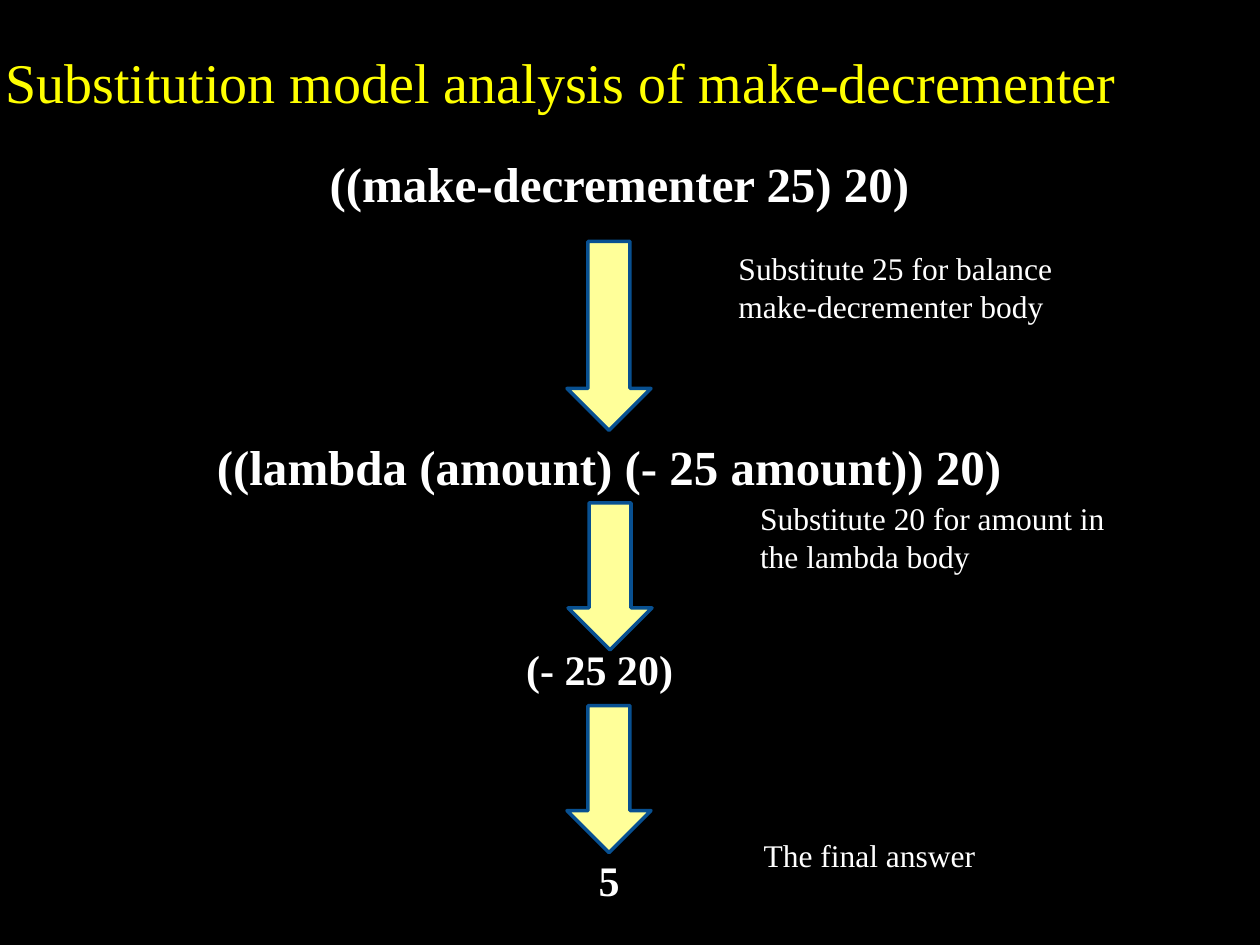
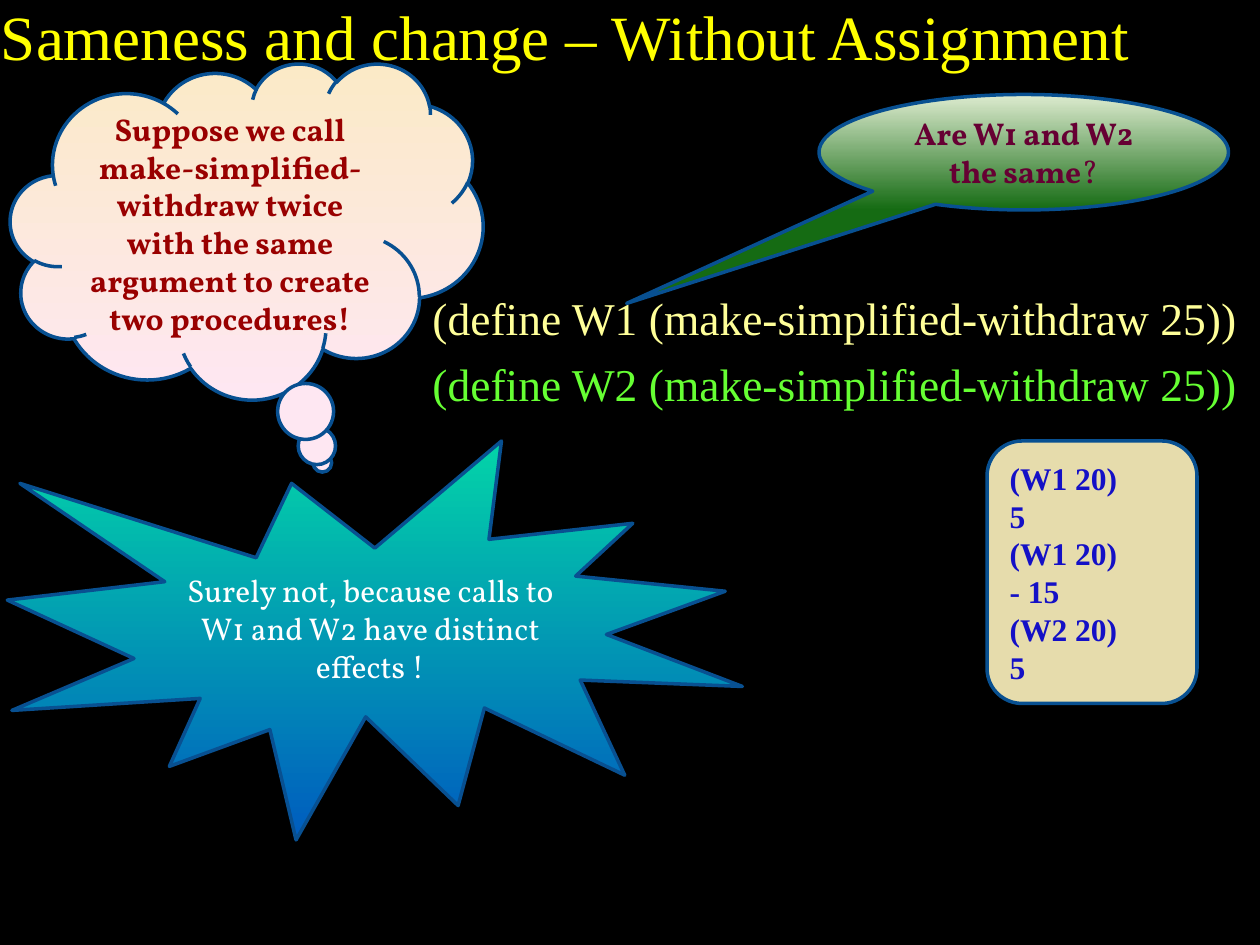
"""Build two lecture slides on substitution and sameness of procedures."""
from dataclasses import dataclass

from pptx import Presentation
from pptx.dml.color import RGBColor as Color
from pptx.enum.shapes import MSO_SHAPE as Preset
from pptx.enum.text import MSO_ANCHOR as Anchor, PP_ALIGN as Align
from pptx.util import Inches, Pt


@dataclass(frozen=True)
class Theme:
    background: str = "000000"
    title: str = "FFFF00"
    text: str = "FFFFFF"
    outline: str = "085091"
    pale_yellow: str = "FFFF99"
    green: str = "66FF33"
    cloud: tuple = ("FBEAC7", "FEE7F2")
    question: tuple = ("DDEBCF", "156B13")
    burst: tuple = ("03D4A8", "005CBF")
    results: str = "E6DCAC"
    cloud_text: str = "990000"
    question_text: str = "660033"
    results_text: str = "1410C6"
    serif: str = "Times New Roman"
    display: str = "Vollkorn"
    body: int = 18
    value: int = 24
    define: int = 26
    expression: int = 28
    long_title: int = 32
    short_title: int = 36
    outline_width: int = 2


theme = Theme()
presentation = Presentation()
presentation.slide_width, presentation.slide_height = Inches(10), Inches(7.5)
COLUMN = presentation.slide_width / 120
ROW = presentation.slide_height / 90


def write(shape, lines, size=theme.body, color=theme.text, name=theme.serif,
          bold=False, align=Align.LEFT, space_before=0, **frame_format):
    """Fill a shape with lines, each a list of (text, bold) runs or a string."""
    frame = shape.text_frame
    for key, setting in frame_format.items():
        setattr(frame, key, setting)
    for index, line in enumerate(lines):
        paragraph = frame.add_paragraph() if index else frame.paragraphs[0]
        paragraph.alignment = align
        if index:
            paragraph.space_before = Pt(space_before)
        for text, run_bold in [(line, bold)] if isinstance(line, str) else line:
            run = paragraph.add_run()
            run.text = text
            run.font.color.rgb = Color.from_string(color)
            font_format = {"size": Pt(size), "name": name, "bold": run_bold}
            for key, setting in font_format.items():
                setattr(run.font, key, setting)
    return frame


def add_box(slide, grid, preset=None, fill=None):
    """Add a text box or an outlined preset shape at columns and rows."""
    left, top, width, height = grid
    place = [int(length) for length in
             (left * COLUMN, top * ROW, width * COLUMN, height * ROW)]
    if preset is None:
        return slide.shapes.add_textbox(*place)
    shape = slide.shapes.add_shape(preset, *place)
    shape.shadow.inherit = False
    shape.line.color.rgb = Color.from_string(theme.outline)
    shape.line.width = Pt(theme.outline_width)
    if isinstance(fill, tuple):
        shape.fill.gradient()
        shape.fill.gradient_angle = 270
        for stop, position, color in zip(shape.fill.gradient_stops, (0, 1), fill):
            stop.position = position
            stop.color.rgb = Color.from_string(color)
    else:
        shape.fill.solid()
        shape.fill.fore_color.rgb = Color.from_string(fill)
    return shape


titles = [
    ("Substitution model analysis of make-decrementer", (0.5, 0.4, 118.5, 10.5),
     theme.long_title),
    ("Sameness and change – Without Assignment", (0.1, 0.2, 119, 6.8),
     theme.short_title),
]
slides = []
for title, grid, size in titles:
    slide = presentation.slides.add_slide(presentation.slide_layouts[6])
    slide.background.fill.solid()
    slide.background.fill.fore_color.rgb = Color.from_string(theme.background)
    write(add_box(slide, grid), [title], size, theme.title, word_wrap=True,
          vertical_anchor=Anchor.BOTTOM, margin_left=0, margin_right=0,
          margin_top=0, margin_bottom=0)
    slides.append(slide)
substitution, sameness = slides

for left, top, height in [(54, 23, 18), (54.1, 47.9, 14), (54, 67.2, 14)]:
    add_box(substitution, (left, top, 8, height), Preset.DOWN_ARROW, theme.pale_yellow)

notes = [
    (["Substitute 25 for balance", "make-decrementer body"], (69.15, 23.15, 33, 12)),
    (["Substitute 20 for amount in", "the lambda body"], (71.2, 46.95, 35.2, 12)),
    (["The final answer"], (71.55, 79, 22.6, 4.8)),
]
for lines, grid in notes:
    write(add_box(substitution, grid), lines, word_wrap=False)

expressions = [
    ("((make-decrementer 25) 20)", (29, 14, 60, 6.8), theme.expression),
    ("((lambda (amount) (- 25 amount)) 20)", (16, 41, 84, 6.8), theme.expression),
    ("(- 25 20)", (47.1, 60.7, 20, 6), theme.value),
    ("5", (54, 80.8, 8, 6), theme.value),
]
for expression, grid, size in expressions:
    write(add_box(substitution, grid), [expression], size, bold=True,
          align=Align.CENTER, word_wrap=True)

definitions = write(add_box(sameness, (40, 27, 80, 13.4)),
                    [f"(define {name} (make-simplified-withdraw 25))" for name in ("W1", "W2")],
                    theme.define, space_before=6.5, word_wrap=True)
for paragraph, color in zip(definitions.paragraphs, (theme.pale_yellow, theme.green)):
    paragraph.runs[0].font.color.rgb = Color.from_string(color)

callouts = [
    (Preset.CLOUD_CALLOUT, (1, 6, 45, 32), theme.cloud, (0.16, 0.69), theme.cloud_text, True,
     "Suppose we call make-simplified-withdraw twice with the same argument "
     "to create two procedures!"),
    (Preset.OVAL_CALLOUT, (78, 9, 39, 11), theme.question, (-0.97, 1.31),
     theme.question_text, True, [("Are W1 and W2 the same", True), ("?", False)]),
    (Preset.EXPLOSION1, (0.7, 42, 70, 38), theme.burst, (), theme.text, False,
     "Surely not, because calls to W1 and W2 have distinct effects !"),
]
for preset, grid, fill, pointer, color, bold, line in callouts:
    callout = add_box(sameness, grid, preset, fill)
    for index, offset in enumerate(pointer):
        callout.adjustments[index] = offset
    write(callout, [line], color=color, name=theme.display, bold=bold,
          align=Align.CENTER, word_wrap=True, vertical_anchor=Anchor.MIDDLE)

results = add_box(sameness, (94, 42, 20, 25), Preset.FLOWCHART_ALTERNATE_PROCESS, theme.results)
write(results, ["(W1 20)", "5", "(W1 20)", "- 15", "(W2 20)", "5"],
      color=theme.results_text, bold=True, word_wrap=True, vertical_anchor=Anchor.MIDDLE)

presentation.save("out.pptx")
